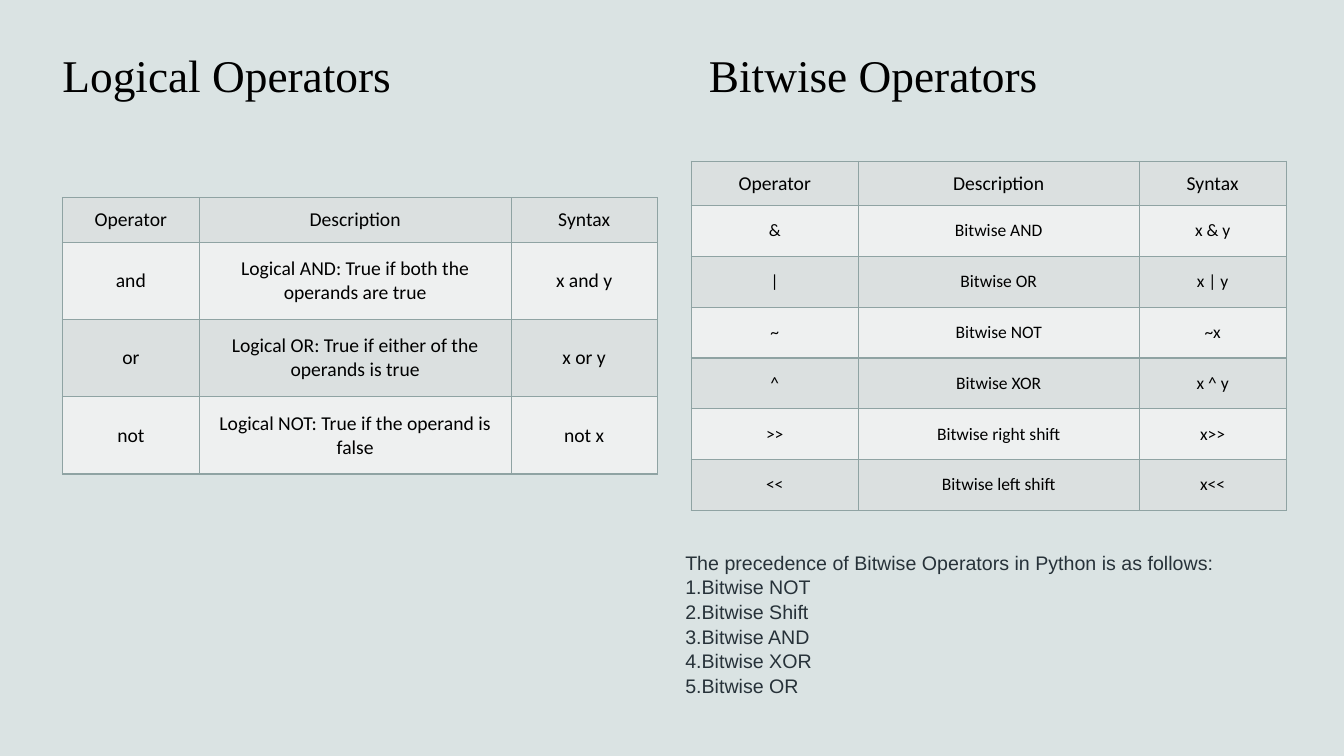
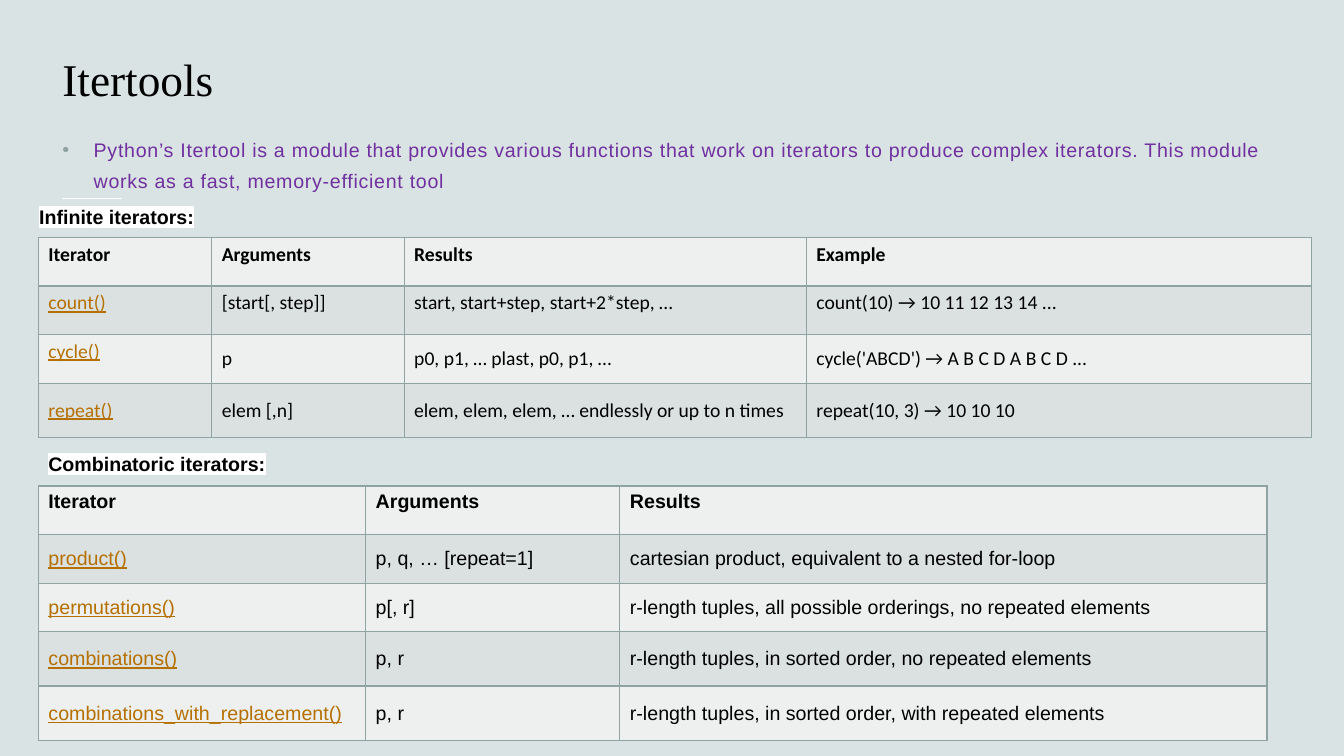
"""Build two slides on Python operators and itertools."""
import pptx
import pptx.dml.color
import pptx.enum.text
import pptx.oxml.ns
import pptx.util
from lxml import etree

Pt = pptx.util.Pt
RGBColor = pptx.dml.color.RGBColor
ALIGN = pptx.enum.text.PP_ALIGN
ANCHOR = pptx.enum.text.MSO_ANCHOR
qn = pptx.oxml.ns.qn

BACKGROUND = RGBColor(0xDA, 0xE3, 0xE3)
BORDER = RGBColor(0x8F, 0xA3, 0xA3)
DARK_ROW = RGBColor(0xDB, 0xE0, 0xE0)
LIGHT_ROW = RGBColor(0xEE, 0xF0, 0xF0)
WHITE = RGBColor(0xFF, 0xFF, 0xFF)
BLACK = RGBColor(0, 0, 0)
SLATE = RGBColor(0x27, 0x32, 0x39)
PURPLE = RGBColor(0x70, 0x30, 0xA0)
LINK = RGBColor(0xB5, 0x70, 0x01)

MARGIN = 44.6
CONTENT_WIDTH = 874


def add_span(para, text, name="Arial", size=14, color=BLACK, bold=False, underline=False):
    span = para.add_run()
    span.text = text
    span.font.name = name
    span.font.size = Pt(size)
    span.font.color.rgb = color
    span.font.bold = bold
    span.font.underline = underline
    return span


def add_grid(page, left, top, widths, heights, fills):
    frame = page.shapes.add_table(len(heights), len(widths), Pt(left), Pt(top),
                                  Pt(sum(widths)), Pt(sum(heights)))
    grid = frame.table
    grid.first_row = False
    grid.horz_banding = False
    for column, width in zip(grid.columns, widths):
        column.width = Pt(width)
    for index, (row, height) in enumerate(zip(grid.rows, heights)):
        row.height = Pt(height)
        for cell in row.cells:
            props = cell._tc.get_or_add_tcPr()
            for side in ("a:lnL", "a:lnR", "a:lnT", "a:lnB"):
                edge = etree.SubElement(props, qn(side), w=str(Pt(1)))
                paint = etree.SubElement(edge, qn("a:solidFill"))
                etree.SubElement(paint, qn("a:srgbClr"), val=str(BORDER))
            cell.fill.solid()
            cell.fill.fore_color.rgb = fills[index % 2]
            cell.vertical_anchor = ANCHOR.MIDDLE
    return grid


deck = pptx.Presentation()
deck.slide_width = Pt(960)
deck.slide_height = Pt(540)
deck.slide_master.background.fill.solid()
deck.slide_master.background.fill.fore_color.rgb = BACKGROUND

pages = []
for layout, title, title_height in [
    (5, "Logical Operators\tBitwise Operators", 44.6),
    (1, "Itertools", 47.5),
]:
    page = deck.slides.add_slide(deck.slide_layouts[layout])
    pages.append(page)
    rule = page.shapes.add_connector(pptx.enum.shapes.MSO_CONNECTOR.STRAIGHT,
                                     Pt(MARGIN), Pt(141.8), Pt(87.1), Pt(141.8))
    rule.line.color.rgb = WHITE
    rule.line.width = Pt(1)
    etree.SubElement(rule._element.spPr, qn("a:effectLst"))

    box = page.shapes.title
    box.left, box.top = Pt(MARGIN), Pt(31.7)
    box.width, box.height = Pt(CONTENT_WIDTH), Pt(title_height)
    box.text_frame.auto_size = pptx.enum.text.MSO_AUTO_SIZE.NONE
    box.text_frame.vertical_anchor = ANCHOR.BOTTOM
    box.text_frame.margin_left = 0
    para = box.text_frame.paragraphs[0]
    para.alignment = ALIGN.LEFT
    tabs = etree.SubElement(para._p.get_or_add_pPr(), qn("a:tabLst"))
    etree.SubElement(tabs, qn("a:tab"), pos=str(Pt(461.8)), algn="l")
    add_span(para, title, "Times New Roman", 32.4)

operators_page, itertools_page = pages

header = ("Operator", "Description", "Syntax")
logical = [
    header,
    ("and", "Logical AND: True if both the operands are true", "x and y"),
    ("or", "Logical OR: True if either of the operands is true", "x or y"),
    ("not", "Logical NOT: True if the operand is false", "not x"),
]
bitwise = [
    header,
    ("&", "Bitwise AND", "x & y"),
    ("|", "Bitwise OR", "x | y"),
    ("~", "Bitwise NOT", "~x"),
    ("^", "Bitwise XOR", "x ^ y"),
    (">>", "Bitwise right shift", "x>>"),
    ("<<", "Bitwise left shift", "x<<"),
]
for rows, left, top, widths, row_height, size in [
    (logical, MARGIN, 141.3, (97.8, 222.7, 104.4), 55.2, 14),
    (bitwise, 493.8, 115.2, (119.2, 200.7, 105), 36.3, 12.5),
]:
    heights = [31.7] + [row_height] * (len(rows) - 1)
    grid = add_grid(operators_page, left, top, widths, heights, (DARK_ROW, LIGHT_ROW))
    for r, texts in enumerate(rows):
        for c, text in enumerate(texts):
            cell = grid.cell(r, c)
            cell.margin_top = cell.margin_bottom = Pt(10.5 if r else 7.2)
            para = cell.text_frame.paragraphs[0]
            para.alignment = ALIGN.CENTER
            add_span(para, text, "Calibri", size if r else 14)

box = operators_page.shapes.add_textbox(Pt(482.4), Pt(388.8), Pt(468.7), Pt(108.7))
box.text_frame.word_wrap = True
para = box.text_frame.paragraphs[0]
para.line_spacing = 1.05
add_span(para, "The precedence of Bitwise Operators in Python is as follows:", color=SLATE)
for operation in ("NOT", "Shift", "AND", "XOR", "OR"):
    para = box.text_frame.add_paragraph()
    para.line_spacing = 1.05
    etree.SubElement(para._p.get_or_add_pPr(), qn("a:buAutoNum"), type="arabicPeriod")
    add_span(para, "Bitwise " + operation, color=SLATE)

box = itertools_page.placeholders[1]
box.left, box.top = Pt(MARGIN), Pt(90)
box.width, box.height = Pt(CONTENT_WIDTH), Pt(56.2)
box.text_frame.auto_size = pptx.enum.text.MSO_AUTO_SIZE.NONE
box.text_frame.margin_left = 0
para = box.text_frame.paragraphs[0]
para.line_spacing = 1.3
para.space_before = Pt(0)
props = para._p.get_or_add_pPr()
props.set("marL", str(Pt(22.3)))
props.set("indent", str(-Pt(22.3)))
bullet_color = etree.SubElement(props, qn("a:buClr"))
etree.SubElement(bullet_color, qn("a:srgbClr"), val=str(BORDER))
etree.SubElement(props, qn("a:buChar"), char="•")
span = add_span(para, "Python’s Itertool is a module that provides various functions that work on "
                "iterators to produce complex iterators. This module works as a fast, "
                "memory-efficient tool", color=PURPLE)
span._r.get_or_add_rPr().set("spc", "50")

infinite = [
    ("Iterator", "Arguments", "Results", "Example"),
    ("count()", "[start[, step]]", "start, start+step, start+2*step, …",
     "count(10) → 10 11 12 13 14 ..."),
    ("cycle()", "p", "p0, p1, … plast, p0, p1, …", "cycle('ABCD') → A B C D A B C D ..."),
    ("repeat()", "elem [,n]", "elem, elem, elem, … endlessly or up to n times",
     "repeat(10, 3) → 10 10 10"),
]
combinatoric = [
    ("Iterator", "Arguments", "Results"),
    ("product()", "p, q, … [repeat=1]", "cartesian product, equivalent to a nested for-loop"),
    ("permutations()", "p[, r]",
     "r-length tuples, all possible orderings, no repeated elements"),
    ("combinations()", "p, r", "r-length tuples, in sorted order, no repeated elements"),
    ("combinations_with_replacement()", "p, r",
     "r-length tuples, in sorted order, with repeated elements"),
]
for heading, left, heading_top, rows, top, widths, tall_rows, name, top_cells in [
    ("Infinite iterators:", 20.9, 142.6, infinite, 169.6,
     (123.8, 137.5, 287.3, 360.7), 1, "Calibri", 9),
    ("Combinatoric iterators:", 27.4, 319, combinatoric, 347.2,
     (233.8, 181.6, 462.2), 2, "Arial", 3),
]:
    heights = [34.7] * (len(rows) - tall_rows) + [38.8] * tall_rows
    grid = add_grid(itertools_page, 27.4, top, widths, heights, (LIGHT_ROW, DARK_ROW))
    for r, texts in enumerate(rows):
        for c, text in enumerate(texts):
            cell = grid.cell(r, c)
            if r * len(widths) + c < top_cells:
                cell.vertical_anchor = ANCHOR.TOP
            is_link = r > 0 and c == 0
            add_span(cell.text_frame.paragraphs[0], text, name,
                     color=LINK if is_link else BLACK, bold=r == 0, underline=is_link)

    box = itertools_page.shapes.add_textbox(Pt(left), Pt(heading_top), Pt(480), Pt(24.5))
    box.text_frame.word_wrap = True
    span = add_span(box.text_frame.paragraphs[0], heading, bold=True)
    highlight = etree.Element(qn("a:highlight"))
    etree.SubElement(highlight, qn("a:srgbClr"), val=str(WHITE))
    span._r.get_or_add_rPr().find(qn("a:solidFill")).addnext(highlight)

deck.save("out.pptx")
